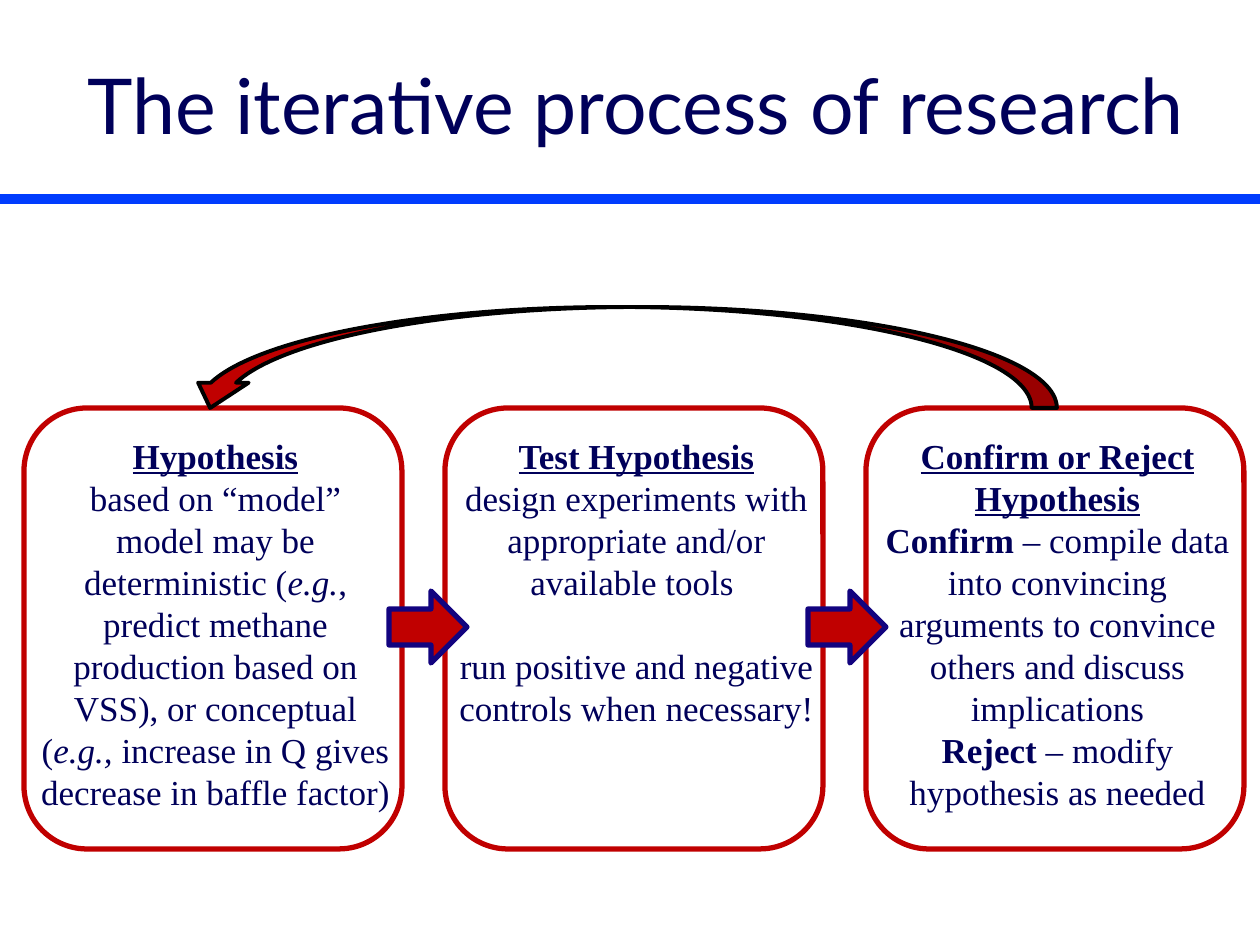
from lxml.etree import SubElement
from pptx import Presentation
from pptx.dml.color import RGBColor
from pptx.enum.shapes import MSO_CONNECTOR, MSO_SHAPE
from pptx.enum.text import MSO_ANCHOR, PP_ALIGN
from pptx.oxml.ns import qn
from pptx.util import Pt

PX = 914400 // 126
NAVY = RGBColor(0x00, 0x00, 0x5A)
BLUE = RGBColor(0x00, 0x3C, 0xFE)
RED = RGBColor(0xC0, 0x00, 0x00)
INDIGO = RGBColor(0x12, 0x03, 0x7F)
BLACK = RGBColor(0x00, 0x00, 0x00)


class SlideBuilder:
    title_font = "Lato"
    body_font = "Times New Roman"

    def __init__(self, slide):
        self.s = slide

    def run(self, p, text, font, size, style=""):
        r = p.add_run()
        r.text = text
        r.font.name = font
        r.font.size = Pt(size)
        r.font.color.rgb = NAVY
        r.font.bold = "b" in style
        r.font.italic = "i" in style
        r.font.underline = "u" in style

    def title(self, text, *box):
        sp = self.s.shapes.title
        sp.left, sp.top, sp.width, sp.height = (v * PX for v in box)
        tf = sp.text_frame
        tf.word_wrap = True
        tf.vertical_anchor = MSO_ANCHOR.MIDDLE
        p = tf.paragraphs[0]
        p.alignment = PP_ALIGN.CENTER
        self.run(p, text, self.title_font, 44)

    def rule(self, x1, y1, x2, y2, color, weight):
        ln = self.s.shapes.add_connector(
            MSO_CONNECTOR.STRAIGHT, *(v * PX for v in (x1, y1, x2, y2)))
        ln.line.color.rgb = color
        ln.line.width = Pt(weight)
        SubElement(ln._element.spPr, qn("a:effectLst"))

    def shape(self, kind, *box, line, weight, fill=None):
        sp = self.s.shapes.add_shape(kind, *(v * PX for v in box))
        sp.shadow.inherit = False
        if fill is None:
            sp.fill.background()
        else:
            sp.fill.solid()
            sp.fill.fore_color.rgb = fill
        sp.line.color.rgb = line
        sp.line.width = Pt(weight)
        return sp

    def text(self, paragraphs, *box):
        tf = self.s.shapes.add_textbox(*(v * PX for v in box)).text_frame
        tf.word_wrap = True
        for i, (gap, runs) in enumerate(paragraphs):
            p = tf.add_paragraph() if i else tf.paragraphs[0]
            p.alignment = PP_ALIGN.CENTER
            p.line_spacing = Pt(24)
            p.space_before = Pt(gap)
            for text, style in runs:
                self.run(p, text, self.body_font, 20, style)


STEPS = [
    (437, [
        (0, [("Hypothesis", "bu")]),
        (0, [("based on “model”", "")]),
        (0, [("model may be deterministic (", ""), ("e.g.", "i"),
             (", predict methane production based on VSS), or conceptual (", ""),
             ("e.g., ", "i"),
             ("increase in Q gives decrease in baffle factor)", "")]),
    ]),
    (310, [
        (0, [("Test Hypothesis", "bu")]),
        (0, [("design experiments with appropriate and/or available tools ", "")]),
        (24, [("run positive and negative controls when necessary!", "")]),
    ]),
    (394, [
        (0, [("Confirm or Reject Hypothesis", "bu")]),
        (0, [("Confirm", "b"),
             (" – compile data into convincing arguments to convince "
              "others and discuss implications", "")]),
        (0, [("Reject", "b"), (" – modify hypothesis as needed", "")]),
    ]),
]

prs = Presentation()
prs.slide_width = 1260 * PX
prs.slide_height = 945 * PX
s = SlideBuilder(prs.slides.add_slide(prs.slide_layouts[5]))

s.rule(0, 199, 1260, 199, BLUE, 6)
s.title("The iterative process of research", 69, 25, 1134, 158)

for i, (height, paragraphs) in enumerate(STEPS):
    left = 24 + 421 * i
    s.shape(MSO_SHAPE.ROUNDED_RECTANGLE, left, 408, 378, 441, line=RED, weight=3)
    s.text(paragraphs, left, 428, 383, height)

for i in range(len(STEPS) - 1):
    s.shape(MSO_SHAPE.RIGHT_ARROW, 389 + 419 * i, 591, 78, 72,
            line=INDIGO, weight=3, fill=RED)

loop = s.shape(MSO_SHAPE.CURVED_DOWN_ARROW, 185, 307, 872, 101,
               line=BLACK, weight=2.25, fill=RED)
loop._element.spPr.find(qn("a:xfrm")).set("flipH", "1")

prs.save("out.pptx")
